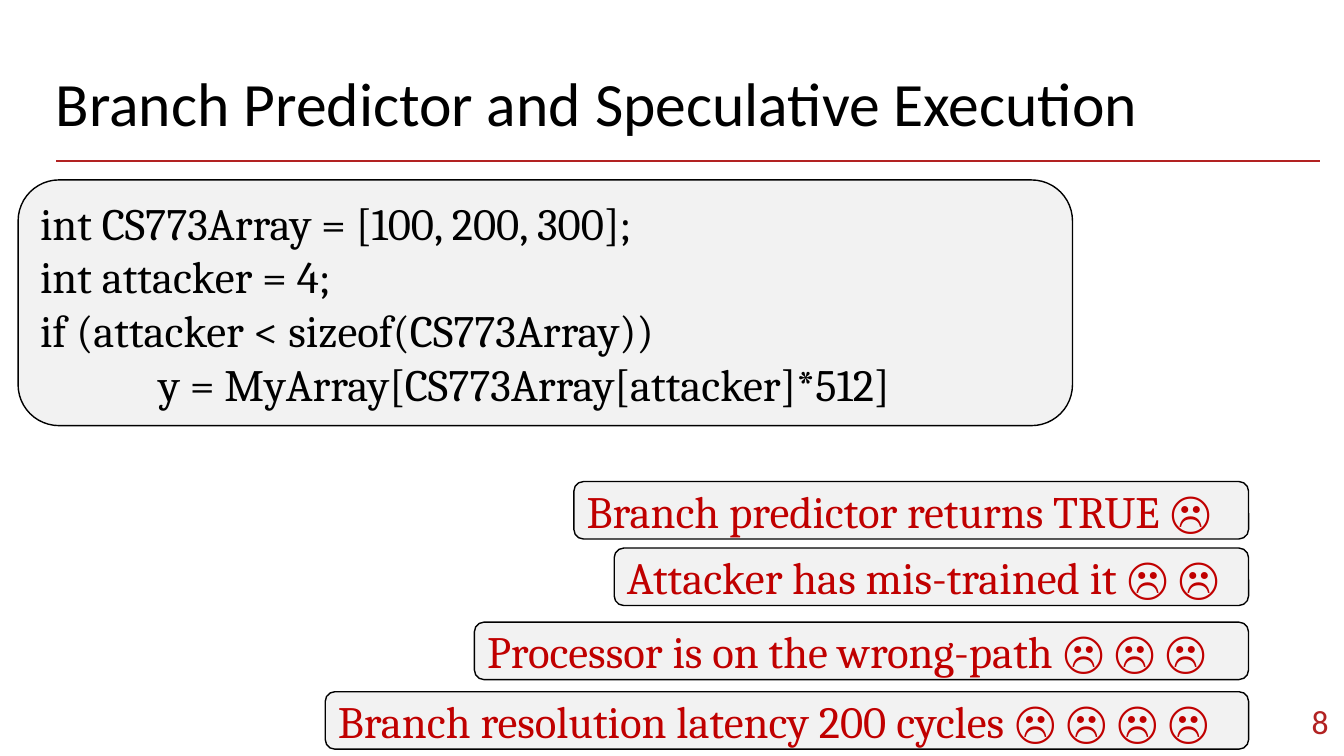
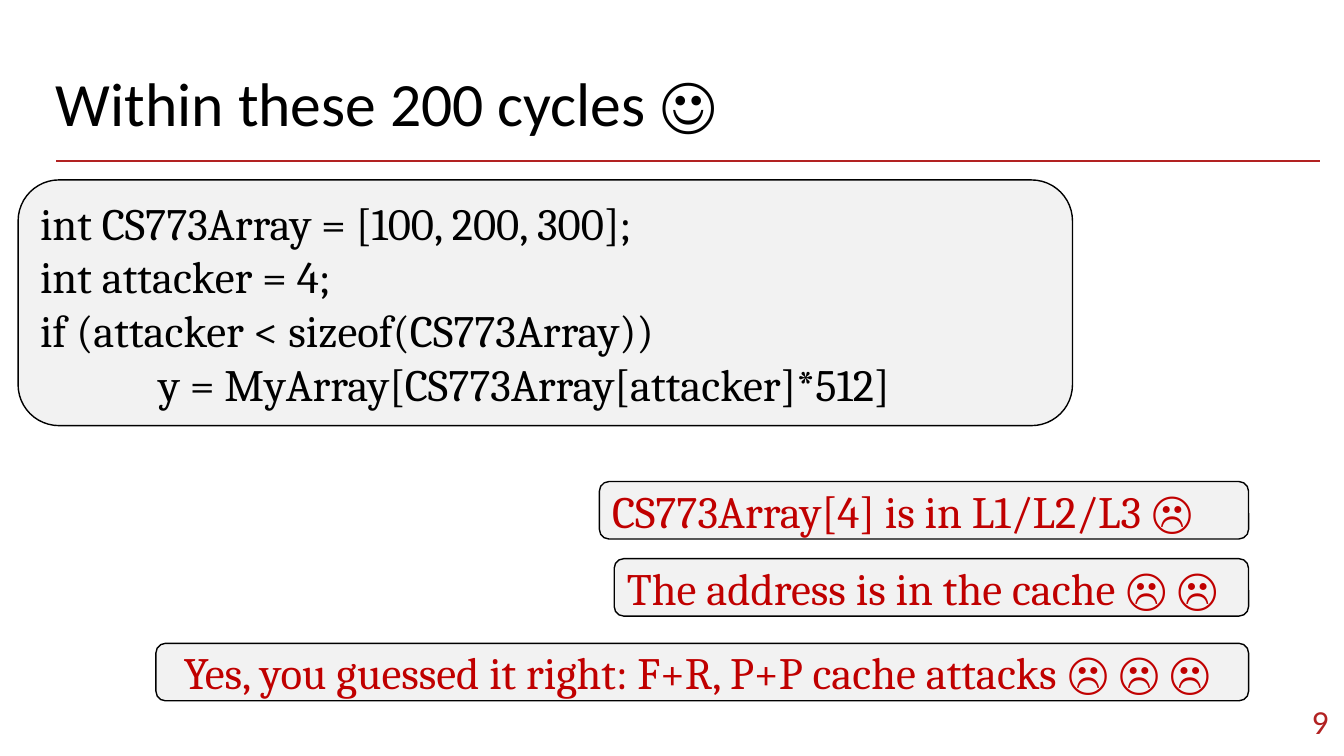
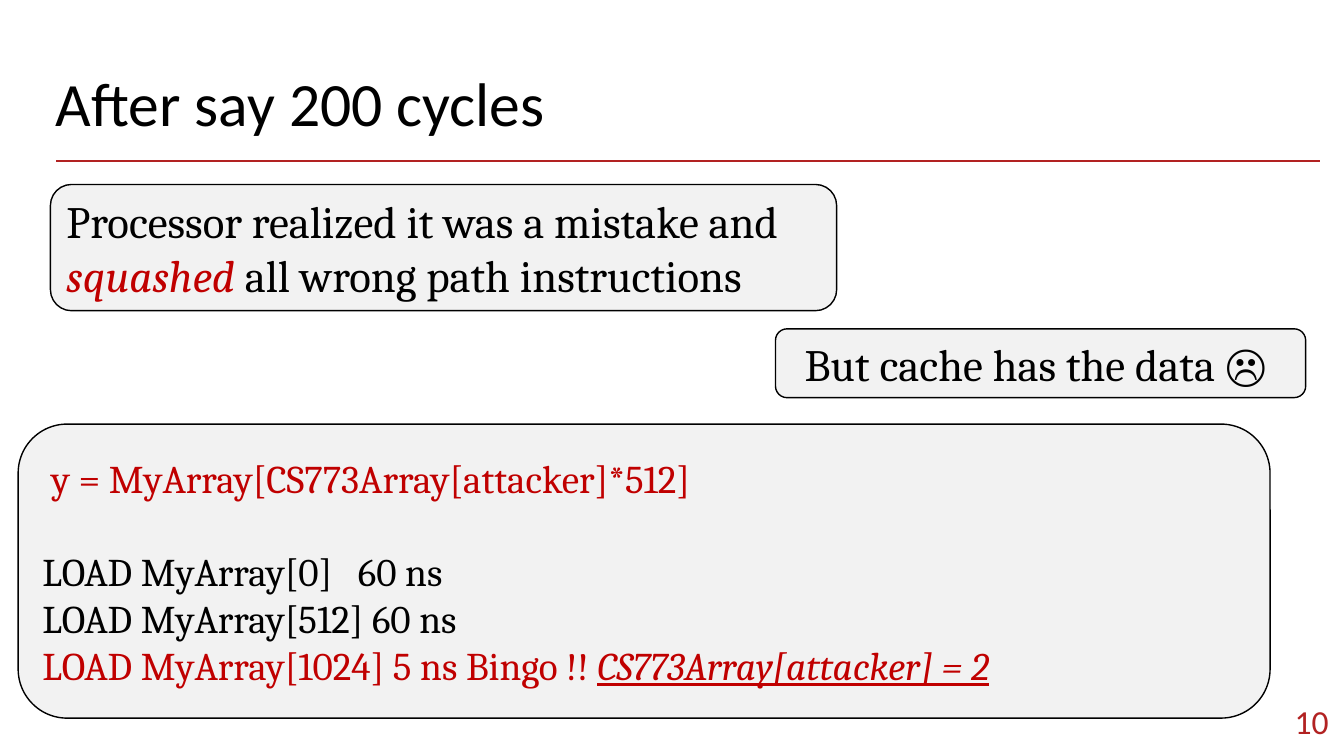
from lxml import etree
from pptx import Presentation
from pptx.dml.color import RGBColor
from pptx.enum.shapes import MSO_CONNECTOR, MSO_SHAPE
from pptx.enum.text import MSO_ANCHOR, MSO_AUTO_SIZE, PP_ALIGN
from pptx.oxml.ns import qn
from pptx.util import Inches, Pt

LEFT, MID, RIGHT = PP_ALIGN.LEFT, PP_ALIGN.CENTER, PP_ALIGN.RIGHT
CENTRE = MSO_ANCHOR.MIDDLE
FIXED = MSO_AUTO_SIZE.NONE
ROUND = MSO_SHAPE.ROUNDED_RECTANGLE
STRAIGHT = MSO_CONNECTOR.STRAIGHT

HUES = {"ink": "000000", "red": "C00000", "brick": "B22222", "pale": "F2F2F2"}
SANS, SERIF = "Calibri", "Cambria"

CODE = (
    "int CS773Array = [100, 200, 300];",
    "int attacker = 4;",
    "if (attacker < sizeof(CS773Array))",
    "            y = MyArray[CS773Array[attacker]*512]",
)


def hue(name):
    return RGBColor.from_string(HUES[name])


class Deck:
    """Style and current slide; lengths are percent of the slide's size."""

    def __init__(self, first):
        self.prs = Presentation()
        self.prs.slide_width = Inches(13.33)
        self.prs.slide_height = Inches(7.5)
        self.page = first - 1
        self.slide = None
        self.layout = self.prs.slide_layouts[5]
        head = self.layout.placeholders[0]
        head.left, head.top, head.width, head.height = self.rect(3.4, 8.5, 93.1, 11.2)

    def rect(self, x, y, w, h):
        wide, high = self.prs.slide_width, self.prs.slide_height
        return [int(part * full / 100)
                for part, full in zip((x, y, w, h), (wide, high) * 2)]

    def style(self, para, size, color, face=SERIF, align=LEFT):
        para.alignment = align
        font = para.font
        font.size, font.name = Pt(size), face
        font.color.rgb = hue(color)

    def start(self, title):
        """Open a slide with its title, rule and page number."""
        self.slide = self.prs.slides.add_slide(self.layout)
        self.page += 1
        frame = self.slide.shapes.title.text_frame
        frame.text = title
        frame.word_wrap, frame.auto_size = True, FIXED
        frame.vertical_anchor = CENTRE
        para = frame.paragraphs[0]
        para.line_spacing = 0.9
        self.style(para, 44, "ink", SANS)
        self.rule(4.2, 98.2, 21.3)
        self.number()

    def rule(self, x, end, y):
        left, top, right, _ = self.rect(x, y, end, 0)
        line = self.slide.shapes.add_connector(STRAIGHT, left, top, right, top)
        line.line.color.rgb = hue("brick")
        line.line.width = Pt(1.5)
        etree.SubElement(line._element.spPr, qn("a:effectLst"))

    def number(self):
        box = self.slide.shapes.add_textbox(*self.rect(92, 91.6, 7.6, 7.6))
        frame = box.text_frame
        frame.word_wrap, frame.vertical_anchor = True, CENTRE
        frame.text = str(self.page)
        self.style(frame.paragraphs[0], 24, "brick", SANS, RIGHT)

    def card(self, area, lines, size=32, color="ink", align=LEFT):
        """Draw a rounded panel; a line is a string or a list for fill()."""
        box = self.slide.shapes.add_shape(ROUND, *self.rect(*area))
        box.shadow.inherit = False
        box.fill.solid()
        box.fill.fore_color.rgb = hue("pale")
        box.line.color.rgb = hue("ink")
        box.line.width = Pt(1)
        frame = box.text_frame
        frame.word_wrap, frame.vertical_anchor = True, CENTRE
        paras = [frame.paragraphs[0]]
        paras += [frame.add_paragraph() for _ in lines[1:]]
        for para, line in zip(paras, lines):
            self.style(para, size, color, align=align)
            self.fill(para, [line] if isinstance(line, str) else line)
        return paras

    def fill(self, para, parts):
        """Add runs; a part is a text or (text, colour, italic, underline)."""
        for part in parts:
            run = para.add_run()
            if isinstance(part, str):
                run.text = part
                continue
            run.text, color, slant, under = part
            run.font.color.rgb = hue(color)
            run.font.italic, run.font.underline = slant, under

    def code(self):
        self.card((1.35, 23.8, 78.45, 32.5), CODE)

    def note(self, x, y, text, align=LEFT):
        """Draw a red remark that ends at the shared right edge."""
        self.card((x, y, 92.9 - x, 7.6), [text], color="red", align=align)

    def tab(self, para, inches):
        stops = etree.Element(qn("a:tabLst"))
        etree.SubElement(stops, qn("a:tab"), pos=str(Inches(inches)), algn="l")
        para._p.get_or_add_pPr().find(qn("a:defRPr")).addprevious(stops)


def main():
    deck = Deck(first=8)

    deck.start("Branch Predictor and Speculative Execution")
    deck.code()
    deck.note(42.7, 63.7, "Branch predictor returns TRUE ☹")
    deck.note(45.7, 72.5, "Attacker has mis-trained it ☹ ☹")
    deck.note(35.3, 82.3, "Processor is on the wrong-path ☹ ☹ ☹")
    deck.note(24.2, 91.5, "Branch resolution latency 200 cycles ☹ ☹ ☹ ☹")

    deck.start("Within these 200 cycles ☺")
    deck.code()
    deck.note(44.6, 63.7, "CS773Array[4] is in L1/L2/L3 ☹")
    deck.note(45.7, 73.9, "The address is in the cache ☹ ☹")
    deck.note(11.6, 85.1, "Yes, you guessed it right: F+R, P+P cache attacks ☹ ☹ ☹ ", MID)

    deck.start("After say 200 cycles")
    deck.card((3.75, 24.4, 58.5, 16.7), [
        "Processor realized it was a mistake and",
        [("squashed", "red", True, False), " all wrong path instructions"],
    ])
    deck.card((57.7, 43.5, 39.45, 9.1), ["But cache has the data ☹ "], align=MID)
    loads = deck.card((1.35, 56.1, 93.15, 38.9), [
        [(" y = MyArray[CS773Array[attacker]*512]", "red", False, False)],
        "LOAD MyArray[0]\t60 ns",
        "LOAD MyArray[512] 60 ns",
        [("LOAD MyArray[1024] 5 ns Bingo !! ", "red", False, False),
         ("CS773Array[attacker] = 2", "red", True, True)],
    ], size=28)
    loads[1].space_before = Pt(33)
    deck.tab(loads[1], 3.13)

    deck.prs.save("out.pptx")


if __name__ == "__main__":
    main()
